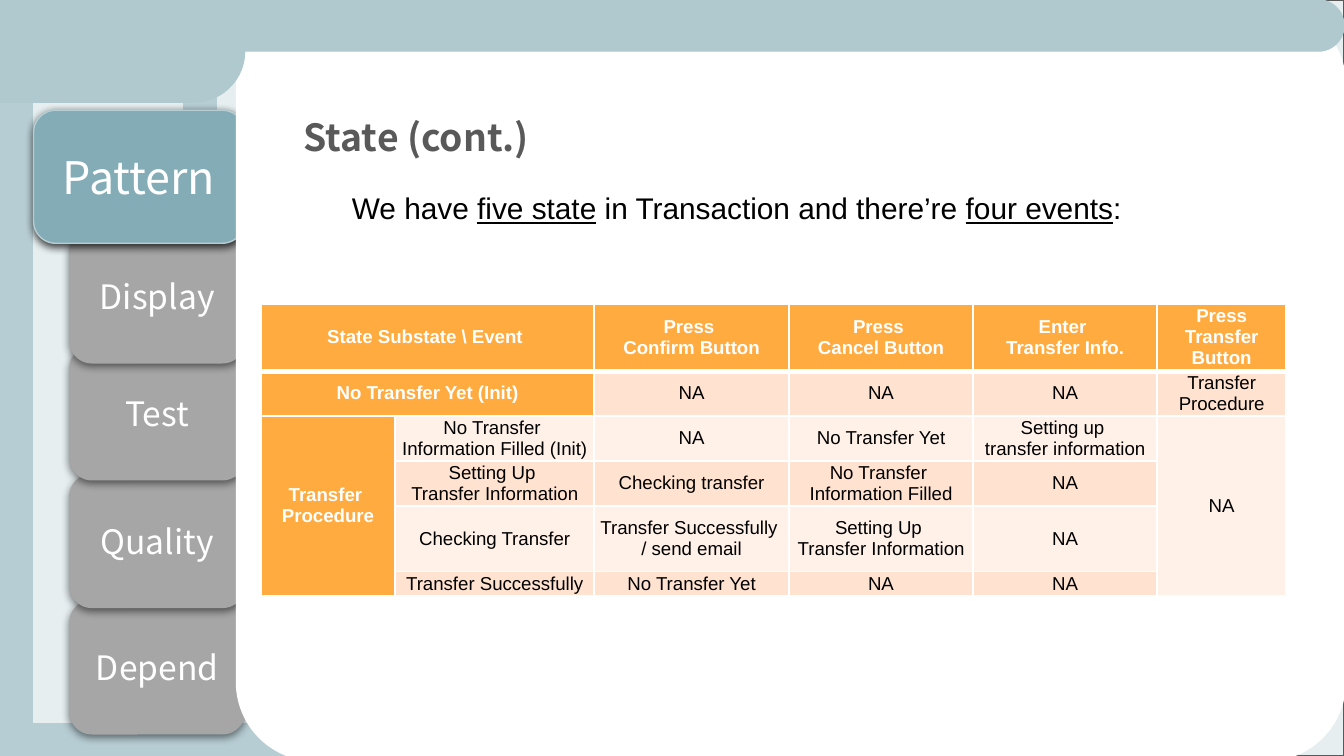
from lxml.etree import SubElement
from pptx import Presentation
from pptx.dml.color import RGBColor
from pptx.enum.shapes import MSO_SHAPE as Shape
from pptx.enum.text import MSO_ANCHOR as Anchor, PP_ALIGN as Align
from pptx.oxml.ns import qn
from pptx.util import Inches, Pt

CELL = Inches(0.1)
COLUMNS, ROWS = 100, 56.25
HEADING_FONT, BODY_FONT = "Noto Sans CJK TC", "Arial"
COLORS = {
    "backdrop": "E6EEF0", "outline": "595959", "strip": "B6CDD3",
    "band": "AFC9CF", "active": "84ACB6", "tab": "A6A6A6",
    "white": "FFFFFF", "black": "000000", "title": "595959",
    "header": "FFAB40", "dark_row": "FFE2CF", "light_row": "FFF1E8",
}
TABS = [("Depend", 44.7), ("Quality", 35.3), ("Test", 25.8), ("Display", 17.1)]
TABLE_COLUMNS = [10, 14.8, 14.5, 13.7, 13.7, 9.6]
TABLE_ROWS = [4.9, 3.3, 3.3, 3.3, 4.9, 1.8]
MERGES = [(0, 0, 0, 1), (1, 0, 1, 1), (2, 0, 5, 0), (2, 5, 5, 5)]
STATES = [
    ["State Substate \\ Event ", "", "Press \vConfirm Button",
     "Press \vCancel Button", "Enter \nTransfer Info.",
     "Press\nTransfer\nButton"],
    ["No Transfer Yet (Init)", "", "NA", "NA", "NA", "Transfer Procedure"],
    ["Transfer \nProcedure", "No Transfer \nInformation Filled (Init)", "NA",
     "No Transfer Yet", "Setting up \ntransfer information", "NA"],
    ["", "Setting Up \nTransfer Information", "Checking transfer",
     "No Transfer \vInformation Filled", "NA", ""],
    ["", "Checking Transfer", "Transfer Successfully \n/ send email",
     "Setting Up \nTransfer Information", "NA", ""],
    ["", "Transfer Successfully", "No Transfer Yet", "NA", "NA", ""],
]


def color(name):
    return RGBColor.from_string(COLORS[name])


def grid(*lengths):
    return [round(length * CELL) for length in lengths]


def style(font, name, size, tint, bold=False):
    font.name, font.size, font.bold = name, Pt(size), bold
    font.color.rgb = color(tint)


def add_panel(page, kind, place, fill, line, corner=None):
    panel = page.shapes.add_shape(kind, *grid(*place))
    panel.shadow.inherit = False
    panel.fill.solid()
    panel.fill.fore_color.rgb = color(fill)
    panel.line.color.rgb = color(line)
    panel.line.width = Pt(0.75)
    if corner is not None:
        panel.adjustments[0] = corner
    return panel


def set_margins(frame):
    frame.margin_left = frame.margin_right = CELL
    frame.margin_top = frame.margin_bottom = CELL
    frame.word_wrap = True


def add_shadow(shape, opacity):
    effects = shape._element.spPr.find(qn("a:effectLst"))
    shadow = SubElement(effects, qn("a:outerShdw"), blurRad=str(Pt(4.5)),
                        dist=str(Pt(1.5)), dir="5400000", algn="bl",
                        rotWithShape="0")
    tint = SubElement(shadow, qn("a:srgbClr"), val=COLORS["black"])
    SubElement(tint, qn("a:alpha"), val=str(opacity * 1000))


def add_tab(page, label, place, fill, line, size, opacity):
    tab = add_panel(page, Shape.ROUNDED_RECTANGLE, place, fill, line, 0.167)
    add_shadow(tab, opacity)
    frame = tab.text_frame
    set_margins(frame)
    frame.vertical_anchor = Anchor.MIDDLE
    frame.text = label
    para = frame.paragraphs[0]
    para.alignment = Align.CENTER
    style(para.runs[0].font, HEADING_FONT, size, "white")


def add_text(page, place, pieces, name, size, tint, bold=False):
    box = page.shapes.add_textbox(*grid(*place))
    set_margins(box.text_frame)
    para = box.text_frame.paragraphs[0]
    for text, underlined in pieces:
        span = para.add_run()
        span.text = text
        style(span.font, name, size, tint, bold)
        span.font.underline = underlined


def add_borders(cell, widths):
    properties = cell._tc.get_or_add_tcPr()
    for side, width in zip("LRTB", widths):
        line = SubElement(properties, qn(f"a:ln{side}"), w=str(Pt(width)))
        paint = SubElement(line, qn("a:solidFill"))
        SubElement(paint, qn("a:srgbClr"), val=COLORS["white"])


def fill_cell(cell, text, row, column):
    heading = row == 0 or column == 0 or (row == 1 and column == 1)
    add_borders(cell, (1, 1, 3 if row == 1 else 1, 3 if row == 0 else 1))
    cell.fill.solid()
    shade = "dark_row" if row % 2 else "light_row"
    cell.fill.fore_color.rgb = color("header" if heading else shade)
    cell.margin_left = cell.margin_right = Inches(0.02)
    cell.margin_top = cell.margin_bottom = 0
    cell.vertical_anchor = Anchor.MIDDLE
    cell.text_frame.text = text
    for para in cell.text_frame.paragraphs:
        para.alignment = Align.CENTER
        para.font.size = Pt(10)
        for span in para.runs:
            style(span.font, BODY_FONT, 10,
                  "white" if heading else "black", heading)


def add_state_table(page):
    place = grid(19.4, 22.6, sum(TABLE_COLUMNS), sum(TABLE_ROWS))
    table = page.shapes.add_table(
        len(TABLE_ROWS), len(TABLE_COLUMNS), *place).table
    for column, width in zip(table.columns, grid(*TABLE_COLUMNS)):
        column.width = width
    for row, height in zip(table.rows, grid(*TABLE_ROWS)):
        row.height = height
    for row, texts in enumerate(STATES):
        for column, text in enumerate(texts):
            fill_cell(table.cell(row, column), text, row, column)
    for top, left, bottom, right in MERGES:
        table.cell(top, left).merge(table.cell(bottom, right))


def add_frame(page):
    add_panel(page, Shape.RECTANGLE, (0, 0, COLUMNS, ROWS),
              "backdrop", "outline")
    for left, top, angle in [(0, 0, 0), (13.7, 0, 0), (27.2, 26.7, 270)]:
        strip = add_panel(page, Shape.RECTANGLE, (left, top, 2.4, 56.7),
                          "strip", "strip")
        strip.rotation = angle
    for label, top in TABS:
        add_tab(page, label, (5.2, top, 13, 9.9), "tab", "tab", 18, 50)
    add_tab(page, "Pattern", (2.5, 8.2, 15.7, 9.9), "active", "strip", 24, 75)
    for place, fill, corner in [
        ((17.6, 0.4, 82.5, 56.2), "white", 0.104),
        ((-4.7, 0, 22.9, 7.6), "band", 0.5),
        ((0, 0, COLUMNS, 3.8), "band", 0.5),
    ]:
        add_panel(page, Shape.ROUNDED_RECTANGLE, place, fill, fill, corner)


def main():
    deck = Presentation()
    deck.slide_width, deck.slide_height = grid(COLUMNS, ROWS)
    page = deck.slides.add_slide(deck.slide_layouts[6])
    add_frame(page)
    add_text(page, (21.6, 7.5, 80.6, 5.6), [("State (cont.)", False)],
             HEADING_FONT, 20, "title", True)
    add_text(page, (25.2, 13.1, 74.8, 41.1),
             [("We have ", False), ("five state", True),
              (" in Transaction and there’re ", False),
              ("four events", True), (":", False)],
             BODY_FONT, 16, "black")
    add_state_table(page)
    deck.save("out.pptx")


if __name__ == "__main__":
    main()
